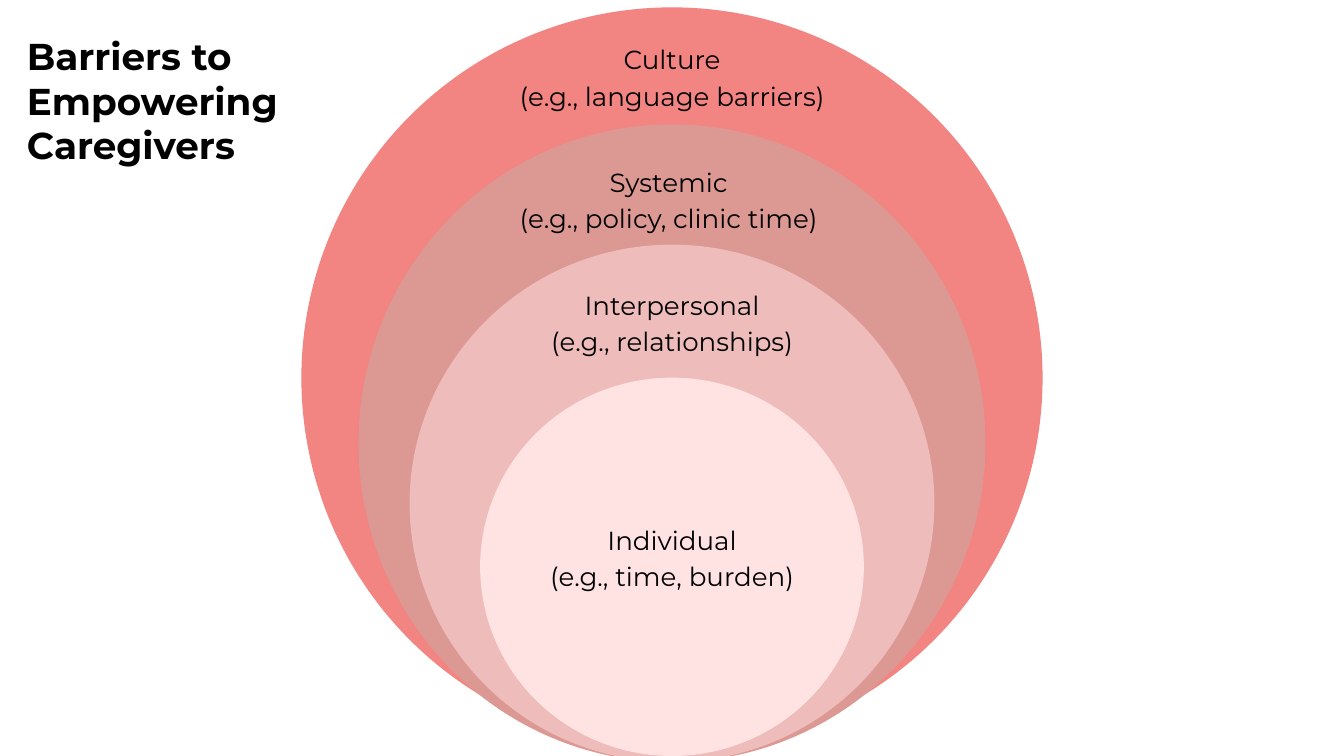
from pptx import Presentation
from pptx import util as u
from pptx.dml import color
from pptx.enum import shapes, text


def rgb(value):
    return color.RGBColor.from_string(value)


def write(frame, lines, size, bold, alignment, spacing):
    frame.margin_left = frame.margin_right = frame.margin_top = frame.margin_bottom = 0
    frame.word_wrap = True
    frame.auto_size = text.MSO_AUTO_SIZE.NONE
    frame.vertical_anchor = text.MSO_ANCHOR.TOP
    for index, line in enumerate(lines):
        paragraph = frame.add_paragraph() if index else frame.paragraphs[0]
        paragraph.alignment = alignment
        paragraph.line_spacing = spacing
        paragraph.space_before = u.Pt(0)
        run = paragraph.add_run()
        run.text = line
        run.font.name = "Montserrat"
        run.font.size = u.Pt(size)
        run.font.bold = bold
        run.font.color.rgb = rgb("000000")


presentation = Presentation()
presentation.slide_width = u.Inches(20)
presentation.slide_height = u.Inches(11.25)
slide = presentation.slides.add_slide(presentation.slide_layouts[5])
center = 10

title = slide.shapes.title
title.left, title.top = u.Inches(0.4), u.Inches(0.49)
title.width, title.height = u.Inches(4.24), u.Inches(2.02)
write(title.text_frame, ["Barriers to Empowering Caregivers"], 40, True, text.PP_ALIGN.LEFT, 1.0)

circles = [
    (0.11, 11.03, 11.03, "F28481"),
    (1.85, 9.33, 9.49, "DC9893"),
    (3.64, 7.81, 7.7, "EEBCBB"),
    (5.62, 5.71, 5.63, "FFE3E3"),
]
for top, width, height, fill in circles:
    circle = slide.shapes.add_shape(
        shapes.MSO_SHAPE.OVAL,
        u.Inches(center - width / 2), u.Inches(top), u.Inches(width), u.Inches(height),
    )
    circle.shadow.inherit = False
    circle.fill.solid()
    circle.fill.fore_color.rgb = rgb(fill)
    circle.line.fill.background()

labels = [
    (0.57, 5.02, ["Culture", "(e.g., language barriers)"]),
    (2.4, 4.91, ["Systemic ", "(e.g., policy, clinic time) "]),
    (4.23, 4.31, ["Interpersonal", "(e.g., relationships)"]),
    (7.72, 4.31, ["Individual", "(e.g., time, burden)"]),
]
for top, width, lines in labels:
    label = slide.shapes.add_textbox(
        u.Inches(center - width / 2), u.Inches(top), u.Inches(width), u.Inches(1.06)
    )
    write(label.text_frame, lines, 28, False, text.PP_ALIGN.CENTER, u.Pt(39.1))

presentation.save("out.pptx")
